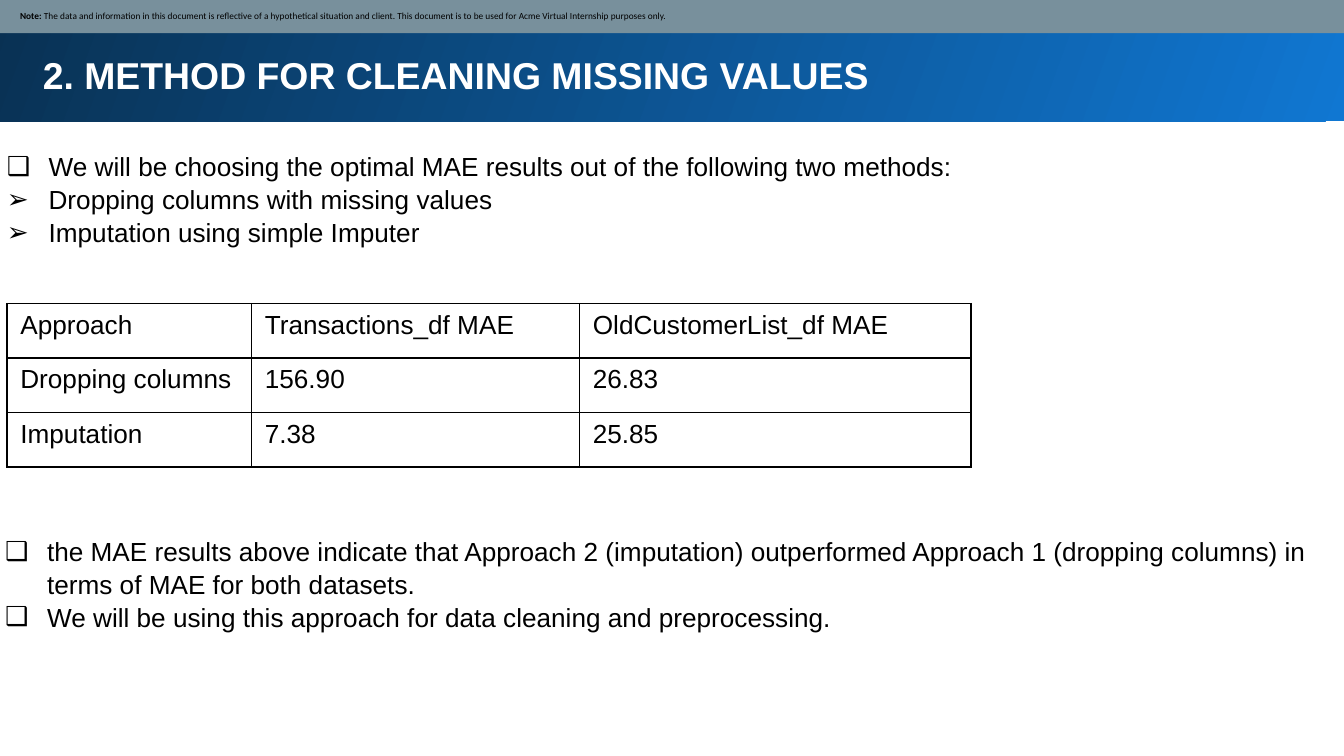
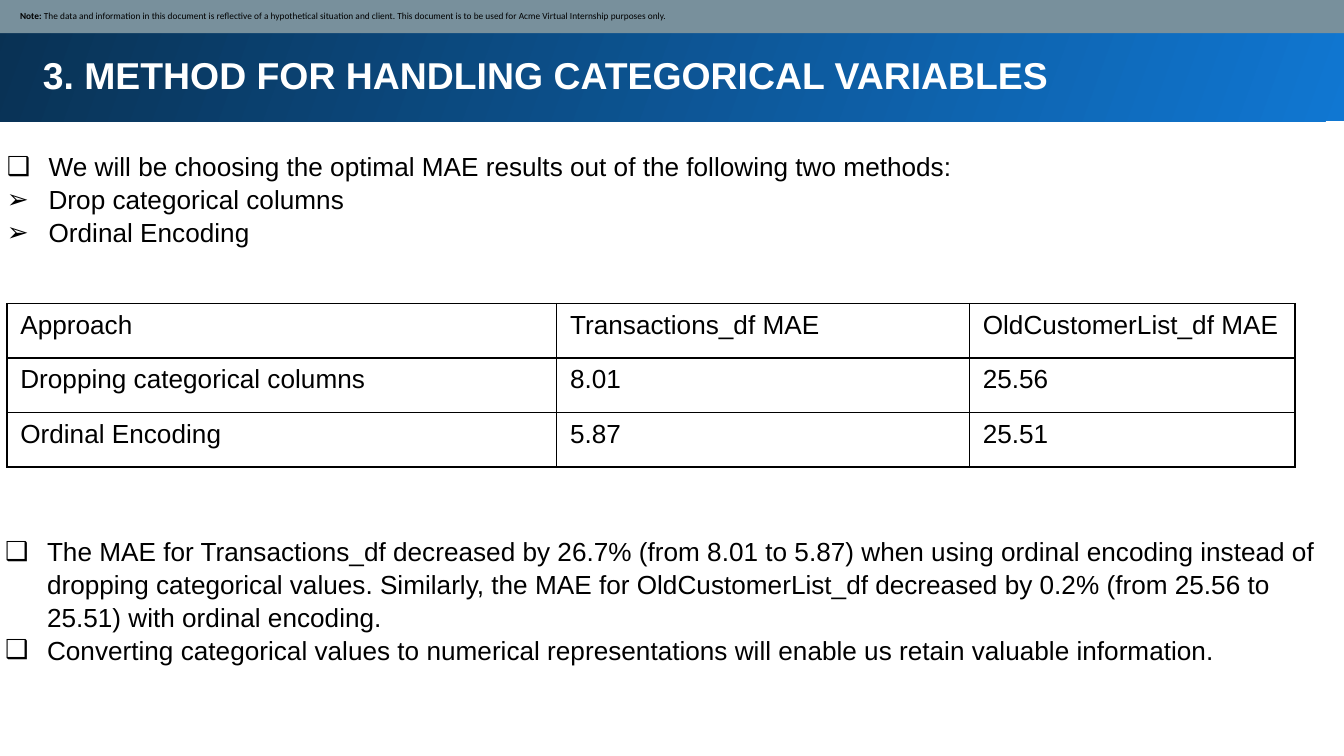
from dataclasses import dataclass

from lxml.etree import SubElement as Sub
from pptx import Presentation
from pptx.dml.color import RGBColor as Rgb
from pptx.enum.shapes import MSO_SHAPE as Kind
from pptx.enum.text import MSO_ANCHOR as Anchor, PP_ALIGN as Align
from pptx.oxml.ns import qn
from pptx.util import Cm, Pt


@dataclass(frozen=True)
class Theme:
    white: str = "FFFFFF"
    black: str = "000000"
    gray: str = "78909C"
    blue: str = "1077D2"
    navy: str = "093153"
    font: str = "Arial"
    small: str = "Calibri"
    head: int = 20
    body: int = 14
    note: int = 5
    lines: float = 1.05


BOX, ARROW = "❑", "➢"
NOTE = ("The data and information in this document is reflective of a hypothetical "
        "situation and client. This document is to be used for Acme Virtual "
        "Internship purposes only.")
LEAD = "We will be choosing the optimal MAE results out of the following two methods:"
HEADS = ["Approach", "Transactions_df MAE", "OldCustomerList_df MAE"]

PAGES = [
    dict(
        title="2. METHOD FOR CLEANING MISSING VALUES",
        ways=["Dropping columns with missing values", "Imputation using simple Imputer"],
        cols=[4.62, 6.2, 7.4],
        rows=[["Dropping columns", "156.90", "26.83"],
              ["Imputation", "7.38", "25.85"]],
        ends=["the MAE results above indicate that Approach 2 (imputation) outperformed "
              "Approach 1 (dropping columns) in terms of MAE for both datasets.",
              "We will be using this approach for data cleaning and preprocessing."],
    ),
    dict(
        title="3. METHOD FOR HANDLING CATEGORICAL VARIABLES",
        ways=["Drop categorical columns", "Ordinal Encoding"],
        cols=[10.39, 7.8, 6.15],
        rows=[["Dropping categorical columns", "8.01", "25.56"],
              ["Ordinal Encoding", "5.87", "25.51"]],
        ends=["The MAE for Transactions_df decreased by 26.7% (from 8.01 to 5.87) when "
              "using ordinal encoding instead of dropping categorical values. Similarly, "
              "the MAE for OldCustomerList_df decreased by 0.2% (from 25.56 to 25.51) "
              "with ordinal encoding.",
              "Converting categorical values to numerical representations will enable us "
              "retain valuable information."],
    ),
]


class Deck:
    def __init__(self, theme):
        self.theme = theme
        self.prs = Presentation()
        self.prs.slide_width, self.prs.slide_height = Cm(25.4), Cm(14.29)
        self.slide = None

    def page(self):
        self.slide = self.prs.slides.add_slide(self.prs.slide_layouts[6])

    def run(self, para, text, size, color, bold=False, font=None):
        run = para.add_run()
        run.text = text
        run.font.size, run.font.bold = Pt(size), bold
        run.font.name = font or self.theme.font
        run.font.color.rgb = Rgb.from_string(color)

    def frame(self, shape, inset):
        frame = shape.text_frame
        frame.word_wrap = True
        frame.margin_left = frame.margin_right = Cm(inset)
        frame.margin_top = frame.margin_bottom = Cm(inset)
        return frame

    def band(self, left, top, width, height):
        band = self.slide.shapes.add_shape(
            Kind.RECTANGLE, Cm(left), Cm(top), Cm(width), Cm(height))
        band.shadow.inherit = False
        band.line.fill.background()
        return band

    def title(self, text):
        look = self.theme
        fill = self.band(-0.05, -0.05, 25.53, 2.34).fill
        fill.gradient()
        fill.gradient_angle = 160
        for stop, color in zip(fill.gradient_stops, (look.blue, look.navy)):
            stop.color.rgb = Rgb.from_string(color)
        box = self.slide.shapes.add_textbox(Cm(0.56), Cm(0.74), Cm(23.8), Cm(1.37))
        para = self.frame(box, 0.25).paragraphs[0]
        self.run(para, text, look.head, look.white, bold=True)

    def note(self, label, text):
        look = self.theme
        band = self.band(-0.03, -0.03, 25.48, 0.66)
        band.fill.solid()
        band.fill.fore_color.rgb = Rgb.from_string(look.gray)
        frame = self.frame(band, 0.13)
        frame.margin_left = Cm(0.41)
        frame.vertical_anchor = Anchor.MIDDLE
        para = frame.paragraphs[0]
        para.alignment = Align.LEFT
        self.run(para, label, look.note, look.black, True, look.small)
        self.run(para, text, look.note, look.black, False, look.small)

    def bullets(self, left, top, height, items):
        """Add a list from (mark, level, text) items."""
        look = self.theme
        box = self.slide.shapes.add_textbox(Cm(left), Cm(top), Cm(25.48), Cm(height))
        frame = self.frame(box, 0.13)
        for i, (mark, level, text) in enumerate(items):
            para = frame.add_paragraph() if i else frame.paragraphs[0]
            para.level, para.line_spacing = level, look.lines
            props = para._p.get_or_add_pPr()
            props.set("marL", str(Cm(0.79)))
            props.set("indent", str(-Cm(0.79)))
            Sub(props, qn("a:buFont"), typeface=look.font)
            Sub(props, qn("a:buChar"), char=mark)
            self.run(para, text, look.body, look.black)

    def border(self, cell):
        props = cell._tc.get_or_add_tcPr()
        for i, side in enumerate(("lnL", "lnR", "lnT", "lnB")):
            line = props.makeelement(qn("a:" + side), {"w": str(Pt(1))})
            fill = Sub(line, qn("a:solidFill"))
            Sub(fill, qn("a:srgbClr"), val=self.theme.black)
            props.insert(i, line)

    def table(self, left, top, cols, rows, height=1.03):
        look = self.theme
        table = self.slide.shapes.add_table(
            len(rows), len(cols), Cm(left), Cm(top),
            Cm(sum(cols)), Cm(height * len(rows))).table
        table.first_row = table.horz_banding = False
        for col, width in zip(table.columns, cols):
            col.width = Cm(width)
        for r, row in enumerate(rows):
            for c, text in enumerate(row):
                cell = table.cell(r, c)
                cell.fill.background()
                self.border(cell)
                self.run(cell.text_frame.paragraphs[0], text, look.body, look.black)


def main():
    deck = Deck(Theme())
    for page in PAGES:
        deck.page()
        deck.title(page["title"])
        deck.note("Note: ", NOTE)
        deck.bullets(0, 2.69, 2.64,
                     [(BOX, 0, LEAD)] + [(ARROW, 1, way) for way in page["ways"]])
        deck.table(0.13, 5.74, page["cols"], [HEADS] + page["rows"])
        deck.bullets(-0.03, 9.96, 2.64, [(BOX, 0, end) for end in page["ends"]])
    deck.prs.save("out.pptx")


if __name__ == "__main__":
    main()
